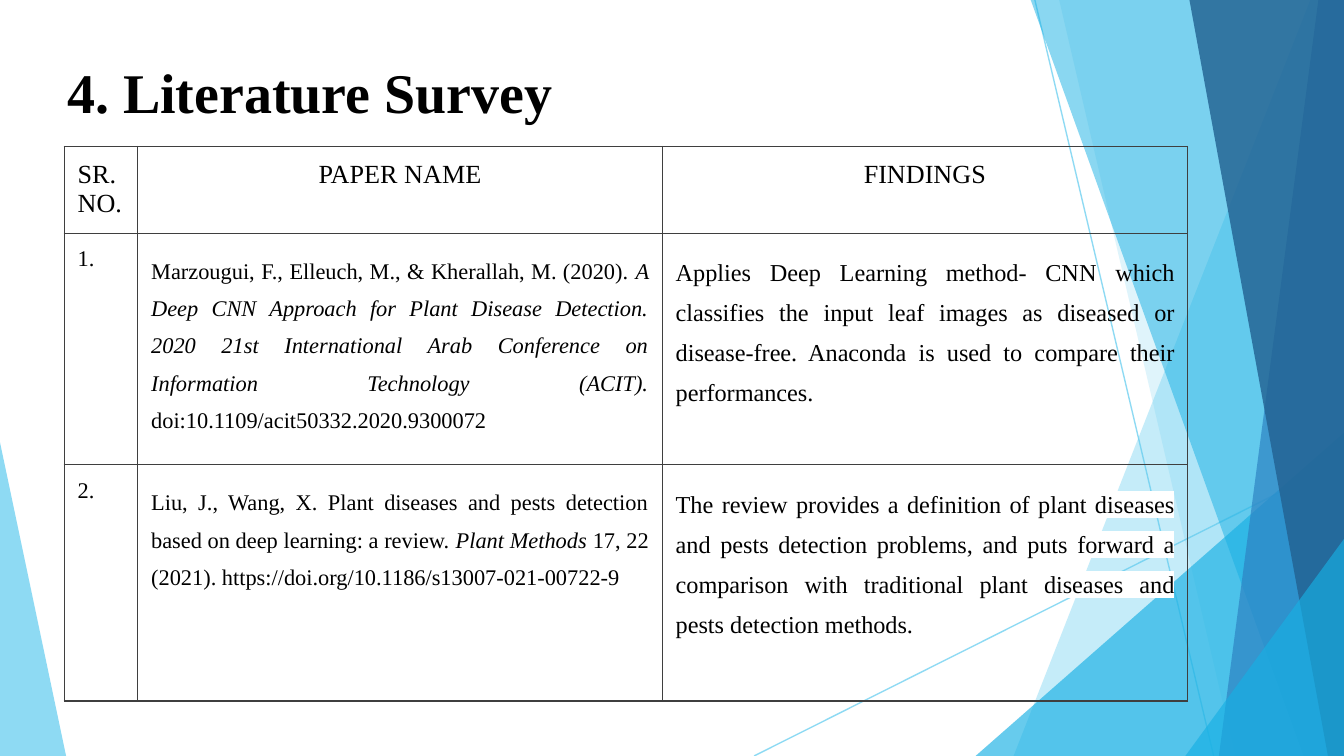
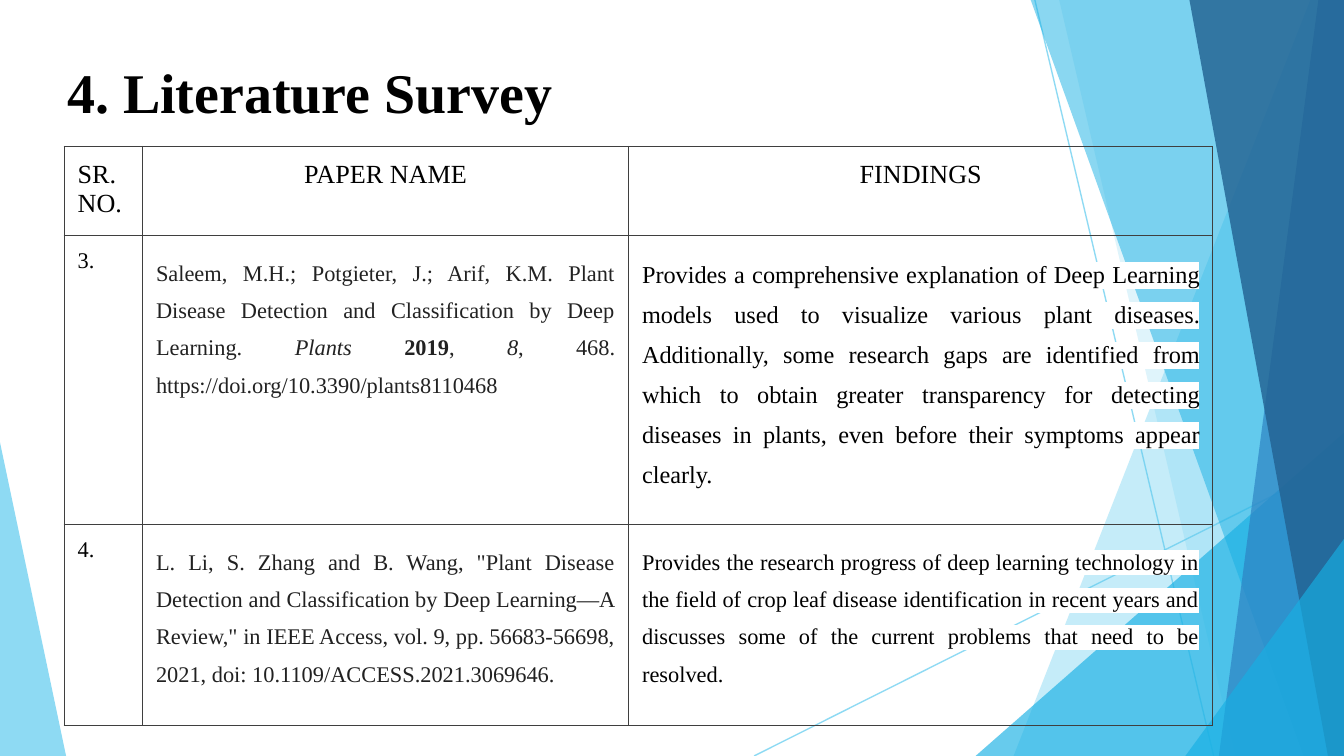
from lxml import etree
from pptx import Presentation
from pptx.dml.color import RGBColor
from pptx.enum.shapes import MSO_CONNECTOR
from pptx.enum.text import MSO_ANCHOR, MSO_AUTO_SIZE, PP_ALIGN
from pptx.oxml.ns import qn
from pptx.util import Pt

STRAIGHT = MSO_CONNECTOR.STRAIGHT
MIDDLE, TOP = MSO_ANCHOR.MIDDLE, MSO_ANCHOR.TOP
LEFT, CENTER, JUSTIFY = PP_ALIGN.LEFT, PP_ALIGN.CENTER, PP_ALIGN.JUSTIFY
NO_FIT = MSO_AUTO_SIZE.NONE

# Style
FONT = "Times New Roman"
BLACK = RGBColor(0x00, 0x00, 0x00)
INK = RGBColor(0x22, 0x22, 0x22)
DIM = RGBColor(0x21, 0x21, 0x21)
RULE = RGBColor(0x3F, 0x3F, 0x3F)
WHITE = RGBColor(0xFF, 0xFF, 0xFF)
SKY = RGBColor(0x5F, 0xCB, 0xEF)
CYAN = RGBColor(0x17, 0xB0, 0xE4)
BLUE = RGBColor(0x2E, 0x83, 0xC3)
NAVY = RGBColor(0x23, 0x62, 0x92)
WIDE, HIGH = 720, 405
PAD = Pt(7.2)

# Background art: lines, then facets as (colour, opacity, corners)
RAYS = [((404, HIGH), (WIDE, 246.5)), ((554.4, 0), (650.2, HIGH))]
EDGE = [(WIDE, HIGH), (WIDE, 0)]
WING = (SKY, 70, [(0, 237), (35.4, HIGH), (0, HIGH)])
FACETS = [
    (SKY, 36, [(702, 0), (543, HIGH)] + EDGE),
    (SKY, 20, [(567.4, 0), (661.7, HIGH)] + EDGE),
    (CYAN, 65, [(522.7, HIGH), (WIDE, 231.8), (WIDE, HIGH)]),
    (CYAN, 50, [(552.2, 0), (698.4, HIGH)] + EDGE),
    (BLUE, 70, [(706.3, 0), (653, HIGH)] + EDGE),
    (NAVY, 82, [(637.2, 0), (711.4, HIGH)] + EDGE),
    (CYAN, 65, [(635, HIGH), (WIDE, 288.7), (WIDE, HIGH)]),
]

# Content
TITLE = "4. Literature Survey"
HEADS = ["SR. NO.", "PAPER NAME", "FINDINGS"]


def cell(*runs, size=12, color=BLACK, mark=True, after=0):
    """Body cell; each run is plain text or a (text, "b" or "i") pair."""
    return dict(runs=runs, size=size, color=color, mark=mark, after=after, gap=1.5)


PAGES = [
    dict(cols=[39.4, 281, 281.4], rows=[46.6, 124, 126.5], first=1, body=[
        (cell("Marzougui, F., Elleuch, M., & Kherallah, M. (2020). ",
              ("A Deep CNN Approach for Plant Disease Detection. 2020 21st "
               "International Arab Conference on Information Technology (ACIT).", "i"),
              " doi:10.1109/acit50332.2020.9300072", mark=False),
         cell("Applies Deep Learning method- CNN which classifies the input leaf "
              "images as diseased or disease-free. Anaconda is used to compare "
              "their performances.", size=13, mark=False, after=10)),
        (cell("Liu, J., Wang, X. Plant diseases and pests detection based on deep "
              "learning: a review. ", ("Plant Methods", "i"),
              " 17, 22 (2021). https://doi.org/10.1186/s13007-021-00722-9"),
         cell("The review provides a definition of plant diseases and pests "
              "detection problems, and puts forward a comparison with traditional "
              "plant diseases and pests detection methods.", size=13, after=10)),
    ]),
    dict(cols=[42, 260.4, 313], rows=[47.7, 154.8, 107.7], first=3, body=[
        (cell("Saleem, M.H.; Potgieter, J.; Arif, K.M. Plant Disease Detection and "
              "Classification by Deep Learning. ", ("Plants", "i"), " ",
              ("2019", "b"), ", ", ("8", "i"),
              ", 468. https://doi.org/10.3390/plants8110468", color=INK),
         cell("Provides a comprehensive explanation of Deep Learning models used to "
              "visualize various plant diseases. Additionally, some research gaps "
              "are identified from which to obtain greater transparency for "
              "detecting diseases in plants, even before their symptoms appear "
              "clearly.", size=13, after=10)),
        (cell('L. Li, S. Zhang and B. Wang, "Plant Disease Detection and '
              'Classification by Deep Learning—A Review," in IEEE Access, vol. 9, '
              "pp. 56683-56698, 2021, doi: 10.1109/ACCESS.2021.3069646.",
              color=DIM, after=10),
         cell("Provides the research progress of deep learning technology in the "
              "field of crop leaf disease identification in recent years and "
              "discusses some of the current problems that need to be resolved.",
              after=10)),
    ]),
]


def tint(node, color):
    """Append a colour to an XML node."""
    etree.SubElement(node, qn("a:srgbClr")).set("val", str(color))


def fade(shape, share):
    """Set the opacity of every colour in a shape, in percent."""
    for node in shape.element.iter(qn("a:srgbClr")):
        etree.SubElement(node, qn("a:alpha")).set("val", str(share * 1000))


class Deck:
    def __init__(self):
        self.prs = Presentation()
        self.prs.slide_width, self.prs.slide_height = Pt(WIDE), Pt(HIGH)
        self.base = self.prs.slide_layouts[5]
        self.slide = None

    def page(self):
        self.slide = self.prs.slides.add_slide(self.base)

    def facet(self, color, share, dots):
        dots = [(Pt(x), Pt(y)) for x, y in dots]
        pen = self.slide.shapes.build_freeform(*dots[0])
        pen.add_line_segments(dots[1:], close=True)
        shape = pen.convert_to_shape()
        shape.shadow.inherit = False
        shape.fill.solid()
        shape.fill.fore_color.rgb = color
        shape.line.fill.background()
        fade(shape, share)
        return shape

    def ray(self, start, end):
        ends = [Pt(v) for v in start + end]
        line = self.slide.shapes.add_connector(STRAIGHT, *ends)
        line.line.color.rgb = SKY
        line.line.width = Pt(0.75)
        etree.SubElement(line.element.spPr, qn("a:effectLst"))
        fade(line, 70)
        return line

    def art(self):
        """Draw the background and hand it to the shared layout."""
        parts = [self.facet(*WING)]
        parts += [self.ray(*ends) for ends in RAYS]
        parts += [self.facet(*facet) for facet in FACETS]
        tree = self.base.shapes.element
        for part in parts:
            tree.append(part.element)
        for num, node in enumerate(tree.iter(qn("p:cNvPr")), 1):
            node.set("id", str(num))

    def title(self, text):
        box = self.slide.shapes.title
        box.left, box.top, box.width, box.height = Pt(36), Pt(16), Pt(648), Pt(67.5)
        frame = box.text_frame
        frame.text = text
        frame.word_wrap, frame.auto_size = True, NO_FIT
        frame.vertical_anchor = MIDDLE
        frame.margin_left = frame.margin_right = frame.margin_bottom = 0
        frame.margin_top = Pt(2)
        para = frame.paragraphs[0]
        para.alignment, para.line_spacing = LEFT, 0.93
        self.font(para, 30, BLACK)
        para.font.bold = True

    def font(self, para, size, color):
        para.font.name, para.font.size = FONT, Pt(size)
        para.font.color.rgb = color

    def put(self, box, runs, size=14, color=BLACK, align=JUSTIFY,
            gap=1.0, after=0, mark=False):
        """Fill one table cell."""
        box.margin_left = box.margin_right = PAD
        box.margin_top = box.margin_bottom = PAD
        box.vertical_anchor = TOP
        para = box.text_frame.paragraphs[0]
        para.alignment, para.line_spacing = align, gap
        para.space_after = Pt(after)
        self.font(para, size, color)
        for item in runs:
            text, style = (item, "") if isinstance(item, str) else item
            run = para.add_run()
            run.text = text
            if style == "i":
                run.font.italic = True
            elif style == "b":
                run.font.bold = True
            if mark:
                props = run._r.get_or_add_rPr()
                tint(etree.SubElement(props, qn("a:highlight")), WHITE)
        self.frame(box)

    def frame(self, box):
        """Rule all four sides of a cell and clear its fill."""
        props = box._tc.get_or_add_tcPr()
        for side in "LRTB":
            line = etree.SubElement(props, qn("a:ln" + side), w=str(Pt(0.75)))
            tint(etree.SubElement(line, qn("a:solidFill")), RULE)
        box.fill.background()

    def table(self, cols, rows, first, body):
        holder = self.slide.shapes.add_table(
            len(rows), len(cols), Pt(34.4), Pt(78.5), Pt(sum(cols)), Pt(sum(rows)))
        grid = holder.table
        grid.first_row = grid.horz_banding = False
        for col, size in zip(grid.columns, cols):
            col.width = Pt(size)
        for row, size in zip(grid.rows, rows):
            row.height = Pt(size)
        for c, head in enumerate(HEADS):
            self.put(grid.cell(0, c), [head], align=CENTER if c else JUSTIFY)
        for r, pair in enumerate(body, 1):
            self.put(grid.cell(r, 0), [f"{first + r - 1}."], size=12)
            for c, part in enumerate(pair, 1):
                self.put(grid.cell(r, c), **part)


def main():
    deck = Deck()
    for num, data in enumerate(PAGES):
        deck.page()
        if num == 0:
            deck.art()
        deck.title(TITLE)
        deck.table(**data)
    deck.prs.save("out.pptx")


if __name__ == "__main__":
    main()
